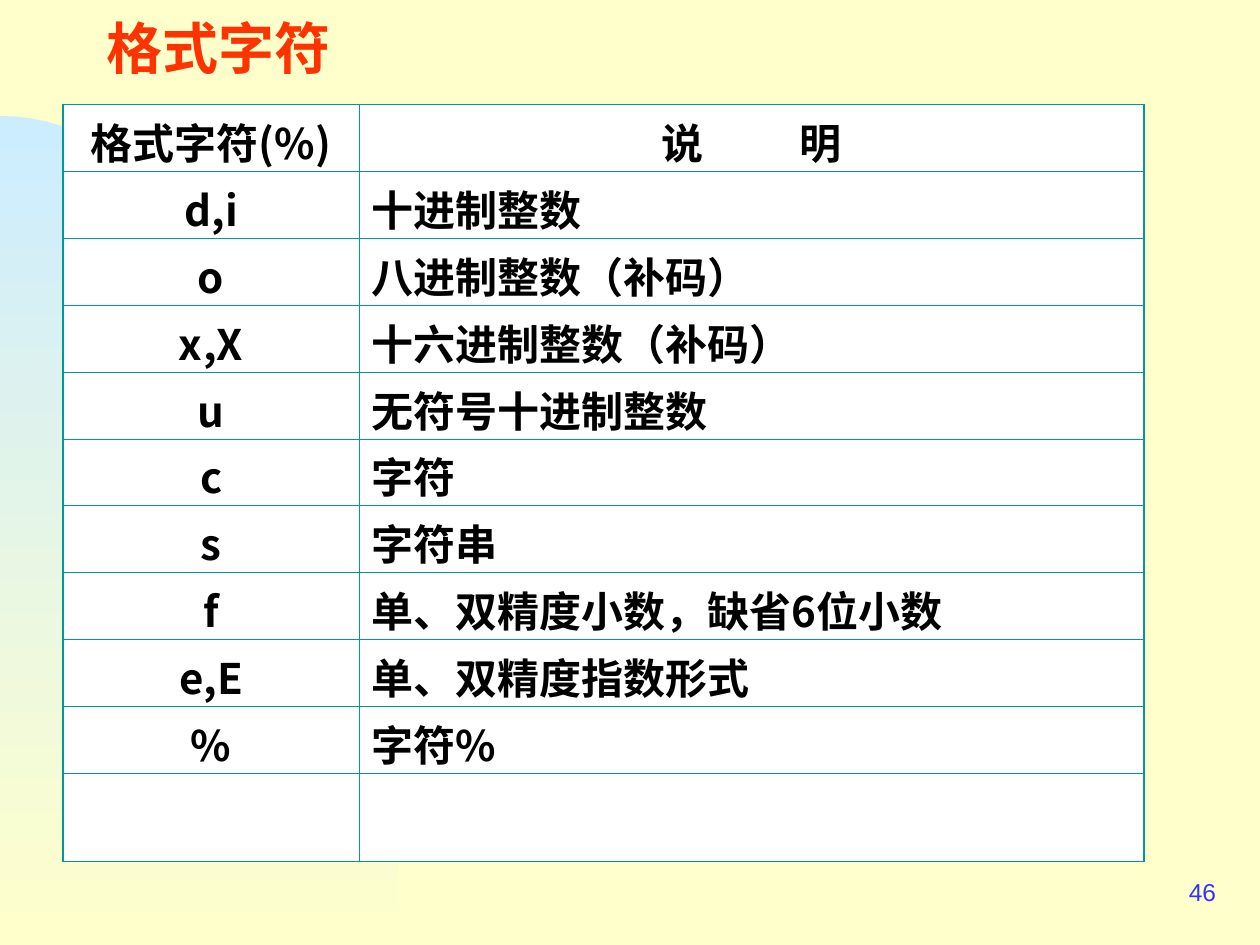
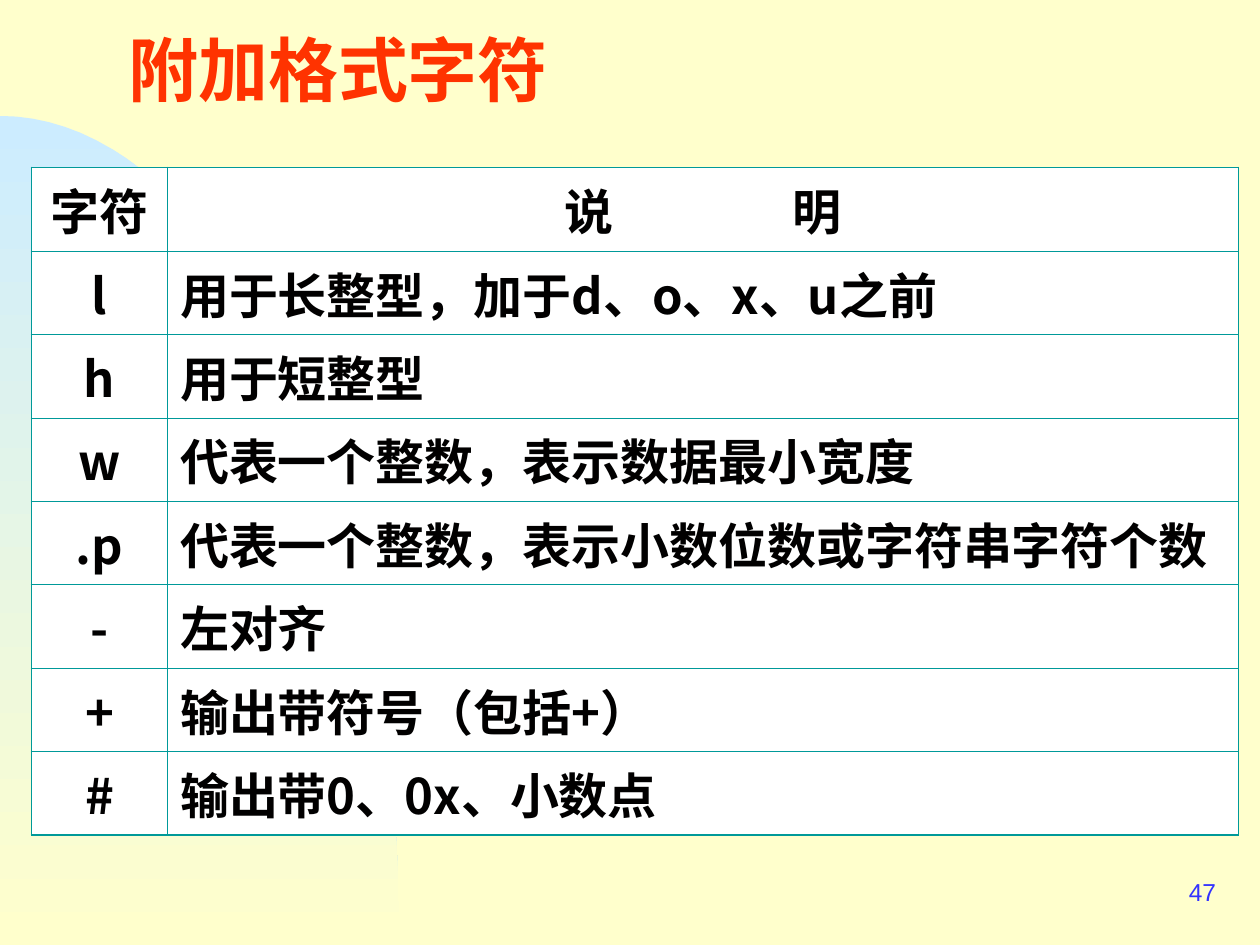
from dataclasses import dataclass

from lxml.etree import SubElement
from pptx import Presentation
from pptx.dml.color import RGBColor
from pptx.enum.text import MSO_ANCHOR, PP_ALIGN
from pptx.oxml.ns import qn
from pptx.slide import Slide
from pptx.table import _Cell
from pptx.text.text import _Paragraph
from pptx.util import Inches, Pt


@dataclass(frozen=True)
class Theme:
    background: str = "FFFFCC"
    arc_top: str = "CCECFF"
    title: str = "FF3300"
    text: str = "010000"
    number: str = "3333FF"
    cell: str = "FFFFFF"
    border: str = "009999"
    cjk_font: str = "Noto Sans CJK SC"
    number_font: str = "Arial"
    number_size: int = 14
    outer_line: float = 1.08
    inner_line: float = 0.45


@dataclass(frozen=True)
class Box:
    left: float
    top: float
    width: float
    height: float


@dataclass(frozen=True)
class FormatSlide:
    number: str
    title: str
    title_box: Box
    title_size: int
    table_left: float
    table_top: float
    col_widths: tuple[float, float]
    row_heights: list[float]
    text_size: int
    heading_gap: float
    rows: list[tuple[str, str]]


THEME = Theme()
NUMBER_BOX = Box(7.67, 6.83, 2.08, 0.5)
ARC_POINTS = ((0, 0.92), (1.75, 0.92), (3.17, 3.87), (3.17, 7.5))
ARC_STEPS = 40
HEADING = "说 明"

SLIDES = [
    FormatSlide(
        "46", "格式字符", Box(0.75, 0, 3.5, 0.75), 32,
        0.5, 0.83, (2.35, 6.23), [5.31 / 10] * 10 + [0.7], 24, 24.5,
        [
            ("格式字符(%)", HEADING),
            ("d,i", "十进制整数"),
            ("o", "八进制整数（补码）"),
            ("x,X", "十六进制整数（补码）"),
            ("u", "无符号十进制整数"),
            ("c", "字符"),
            ("s", "字符串"),
            ("f", "单、双精度小数，缺省6位小数"),
            ("e,E", "单、双精度指数形式"),
            ("%", "字符%"),
            ("", ""),
        ],
    ),
    FormatSlide(
        "47", "附加格式字符", Box(0.92, 0.17, 8.33, 0.75), 40,
        0.25, 1.33, (1.08, 8.5), [5.3 / 8] * 8, 28, 48,
        [
            ("字符", HEADING),
            ("l", "用于长整型，加于d、o、x、u之前"),
            ("h", "用于短整型"),
            ("w", "代表一个整数，表示数据最小宽度"),
            (".p", "代表一个整数，表示小数位数或字符串字符个数"),
            ("-", "左对齐"),
            ("+", "输出带符号（包括+）"),
            ("#", "输出带0、0x、小数点"),
        ],
    ),
]


def style_runs(p: _Paragraph, size: int, color: str, font: str, bold: bool) -> None:
    for r in p.runs:
        r.font.size = Pt(size)
        r.font.bold = bold
        r.font.color.rgb = RGBColor.from_string(color)
        r.font.name = font
        SubElement(r.font._element, qn("a:ea"), typeface=font)


def add_text(s: Slide, box: Box, text: str, size: int, color: str, font: str,
             bold: bool, align: PP_ALIGN) -> None:
    sp = s.shapes.add_textbox(Inches(box.left), Inches(box.top),
                              Inches(box.width), Inches(box.height))
    tf = sp.text_frame
    tf.word_wrap = True
    tf.vertical_anchor = MSO_ANCHOR.MIDDLE
    tf.text = text
    p = tf.paragraphs[0]
    p.alignment = align
    style_runs(p, size, color, font, bold)


def arc_point(t: float) -> tuple[int, int]:
    weights = ((1 - t) ** 3, 3 * t * (1 - t) ** 2, 3 * t ** 2 * (1 - t), t ** 3)
    x, y = (sum(w * pt[axis] for w, pt in zip(weights, ARC_POINTS)) for axis in (0, 1))
    return Inches(x), Inches(y)


def add_arc(s: Slide) -> None:
    points = [arc_point(i / ARC_STEPS) for i in range(ARC_STEPS + 1)]
    builder = s.shapes.build_freeform(*points[0])
    builder.add_line_segments(points[1:] + [(0, Inches(7.5))], close=True)
    sp = builder.convert_to_shape()
    sp.shadow.inherit = False
    sp.line.fill.background()
    sp.fill.gradient()
    sp.fill.gradient_angle = 270
    for stop, color, position in zip(sp.fill.gradient_stops,
                                     (THEME.arc_top, THEME.background), (0, 1)):
        stop.color.rgb = RGBColor.from_string(color)
        stop.position = position


def set_borders(cell: _Cell, outer: dict[str, bool]) -> None:
    tc_pr = cell._tc.get_or_add_tcPr()
    for i, (side, is_outer) in enumerate(outer.items()):
        width = THEME.outer_line if is_outer else THEME.inner_line
        ln = SubElement(tc_pr, qn(f"a:{side}"), w=str(Pt(width)))
        fill = SubElement(ln, qn("a:solidFill"))
        SubElement(fill, qn("a:srgbClr"), val=THEME.border)
        tc_pr.insert(i, ln)


def add_format_table(s: Slide, spec: FormatSlide) -> None:
    last_row, last_col = len(spec.rows) - 1, len(spec.col_widths) - 1
    table = s.shapes.add_table(
        len(spec.rows), len(spec.col_widths), Inches(spec.table_left),
        Inches(spec.table_top), Inches(sum(spec.col_widths)),
        Inches(sum(spec.row_heights))).table
    for col, width in zip(table.columns, spec.col_widths):
        col.width = Inches(width)
    for i, (values, height) in enumerate(zip(spec.rows, spec.row_heights)):
        table.rows[i].height = Inches(height)
        for j, value in enumerate(values):
            cell = table.cell(i, j)
            cell.fill.solid()
            cell.fill.fore_color.rgb = RGBColor.from_string(THEME.cell)
            set_borders(cell, {"lnL": j == 0, "lnR": j == last_col,
                               "lnT": i == 0, "lnB": i == last_row})
            p = cell.text_frame.paragraphs[0]
            p.alignment = PP_ALIGN.CENTER if i == 0 or j == 0 else PP_ALIGN.LEFT
            if value == HEADING:
                p.add_run().text = HEADING[:-1]
                p.add_run().text = HEADING[-1]
                p.runs[0].font._element.set("spc", str(int(spec.heading_gap * 100)))
            elif value:
                p.text = value
            style_runs(p, spec.text_size, THEME.text, THEME.cjk_font, True)


def main() -> None:
    prs = Presentation()
    prs.slide_width, prs.slide_height = Inches(10), Inches(7.5)
    background = prs.slide_master.background.fill
    background.solid()
    background.fore_color.rgb = RGBColor.from_string(THEME.background)
    for spec in SLIDES:
        s = prs.slides.add_slide(prs.slide_layouts[6])
        add_arc(s)
        add_text(s, NUMBER_BOX, spec.number, THEME.number_size, THEME.number,
                 THEME.number_font, False, PP_ALIGN.RIGHT)
        add_format_table(s, spec)
        add_text(s, spec.title_box, spec.title, spec.title_size, THEME.title,
                 THEME.cjk_font, True, PP_ALIGN.LEFT)
    prs.save("out.pptx")


if __name__ == "__main__":
    main()
